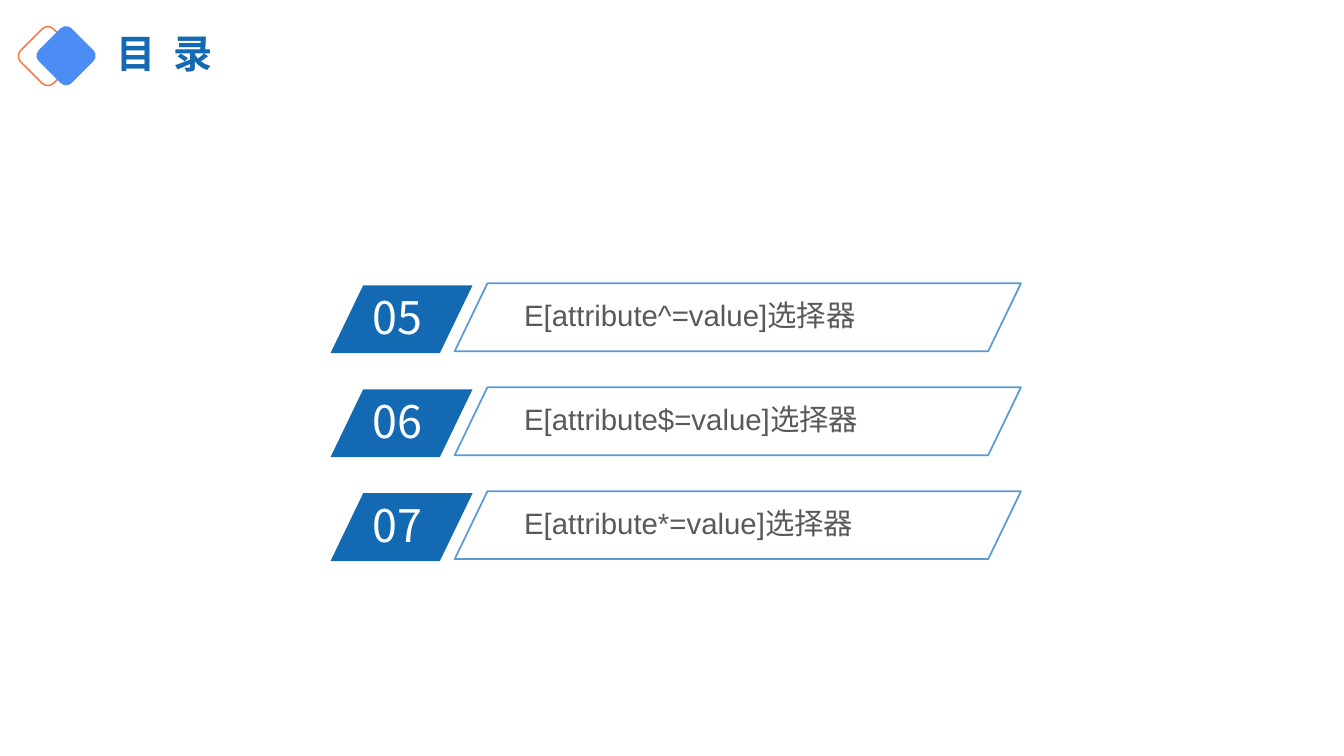
from pptx import Presentation
from pptx.dml.color import RGBColor
from pptx.enum.shapes import MSO_SHAPE
from pptx.enum.text import MSO_ANCHOR, MSO_AUTO_SIZE, PP_ALIGN
from pptx.util import Cm, Pt

PARALLELOGRAM = MSO_SHAPE.PARALLELOGRAM
ROUNDED = MSO_SHAPE.ROUNDED_RECTANGLE
TOP, MIDDLE = MSO_ANCHOR.TOP, MSO_ANCHOR.MIDDLE
LEFT = PP_ALIGN.LEFT
NO_FIT = MSO_AUTO_SIZE.NONE

NAVY = RGBColor(0x13, 0x69, 0xB2)
SKY = RGBColor(0x5B, 0x9B, 0xD5)
BLUE = RGBColor(0x4C, 0x8C, 0xF5)
ORANGE = RGBColor(0xFD, 0x70, 0x3B)
GREY = RGBColor(0x59, 0x59, 0x59)
WHITE = RGBColor(0xFF, 0xFF, 0xFF)

CJK = "Noto Sans CJK SC"
LATIN = "Arial"
SLANT = 0.482

ITEMS = [
    ("05", "E[attribute^=value]选择器"),
    ("06", "E[attribute$=value]选择器"),
    ("07", "E[attribute*=value]选择器"),
]
FIRST_TOP, ROW_STEP = 7.14, 2.62


def write(tf, text, size, color, font=CJK, bold=False, anchor=TOP,
          line_spacing=None, tracking=None):
    """Put one formatted line of text into a text frame."""
    tf.word_wrap = True
    tf.auto_size = NO_FIT
    tf.vertical_anchor = anchor
    p = tf.paragraphs[0]
    p.alignment = LEFT
    p.line_spacing = line_spacing
    r = p.add_run()
    r.text = text
    r.font.size = Pt(size)
    r.font.bold = bold
    r.font.color.rgb = color
    r.font.name = font
    rpr = r.font._element
    ea = rpr.makeelement(
        "{http://schemas.openxmlformats.org/drawingml/2006/main}ea",
        {"typeface": CJK})
    rpr.append(ea)
    if tracking:
        rpr.set("spc", str(tracking * 100))


class Deck:
    def __init__(self, prs):
        self.s = prs.slides.add_slide(prs.slide_layouts[5])
        self.shapes = self.s.shapes

    def group(self):
        """Collect the elements that follow in a new group."""
        self.shapes = self.s.shapes.add_group_shape().shapes

    def title(self, text, x, y, w, h, **fmt):
        sp = self.s.shapes.title
        sp.left, sp.top, sp.width, sp.height = Cm(x), Cm(y), Cm(w), Cm(h)
        write(sp.text_frame, text, **fmt)

    def shape(self, kind, x, y, w, h, fill=None, line=None, weight=1,
              adjust=None, rotation=0):
        sp = self.shapes.add_shape(kind, Cm(x), Cm(y), Cm(w), Cm(h))
        sp.shadow.inherit = False
        sp.rotation = rotation
        if adjust is not None:
            sp.adjustments[0] = adjust
        if fill is None:
            sp.fill.background()
        else:
            sp.fill.solid()
            sp.fill.fore_color.rgb = fill
        if line is None:
            sp.line.fill.background()
        else:
            sp.line.color.rgb = line
            sp.line.width = Pt(weight)

    def text(self, text, x, y, w, h, inset=(0.25, 0.13), **fmt):
        tf = self.shapes.add_textbox(Cm(x), Cm(y), Cm(w), Cm(h)).text_frame
        tf.margin_left = tf.margin_right = Cm(inset[0])
        tf.margin_top = tf.margin_bottom = Cm(inset[1])
        write(tf, text, **fmt)


def main():
    prs = Presentation()
    prs.slide_width, prs.slide_height = Cm(33.87), Cm(19.05)
    deck = Deck(prs)

    # Heading with its pair of diamonds
    deck.title("目 录", 2.69, 0.41, 13.03, 2.01, size=28, color=NAVY,
               bold=True, anchor=MIDDLE, line_spacing=0.9, tracking=3)
    deck.group()
    deck.shape(ROUNDED, 0.62, 0.83, 1.17, 1.17, line=ORANGE, rotation=45)
    deck.shape(ROUNDED, 1.08, 0.82, 1.17, 1.17, fill=BLUE, rotation=45)

    # Contents rows: number tag and framed entry
    for i, (number, entry) in enumerate(ITEMS):
        y = FIRST_TOP + i * ROW_STEP
        deck.group()
        deck.shape(PARALLELOGRAM, 8.33, y + 0.05, 3.58, 1.71, fill=NAVY,
                   adjust=SLANT)
        deck.text(number, 9.14, y + 0.02, 2.84, 1.62, size=32, color=WHITE)
        deck.text(entry, 13.03, y + 0.25, 11.91, 1.1, inset=(0.18, 0.1),
                  size=21, color=GREY, font=LATIN)
        deck.shape(PARALLELOGRAM, 11.46, y, 14.27, 1.71, line=SKY,
                   weight=1.25, adjust=SLANT)

    prs.save("out.pptx")


if __name__ == "__main__":
    main()
